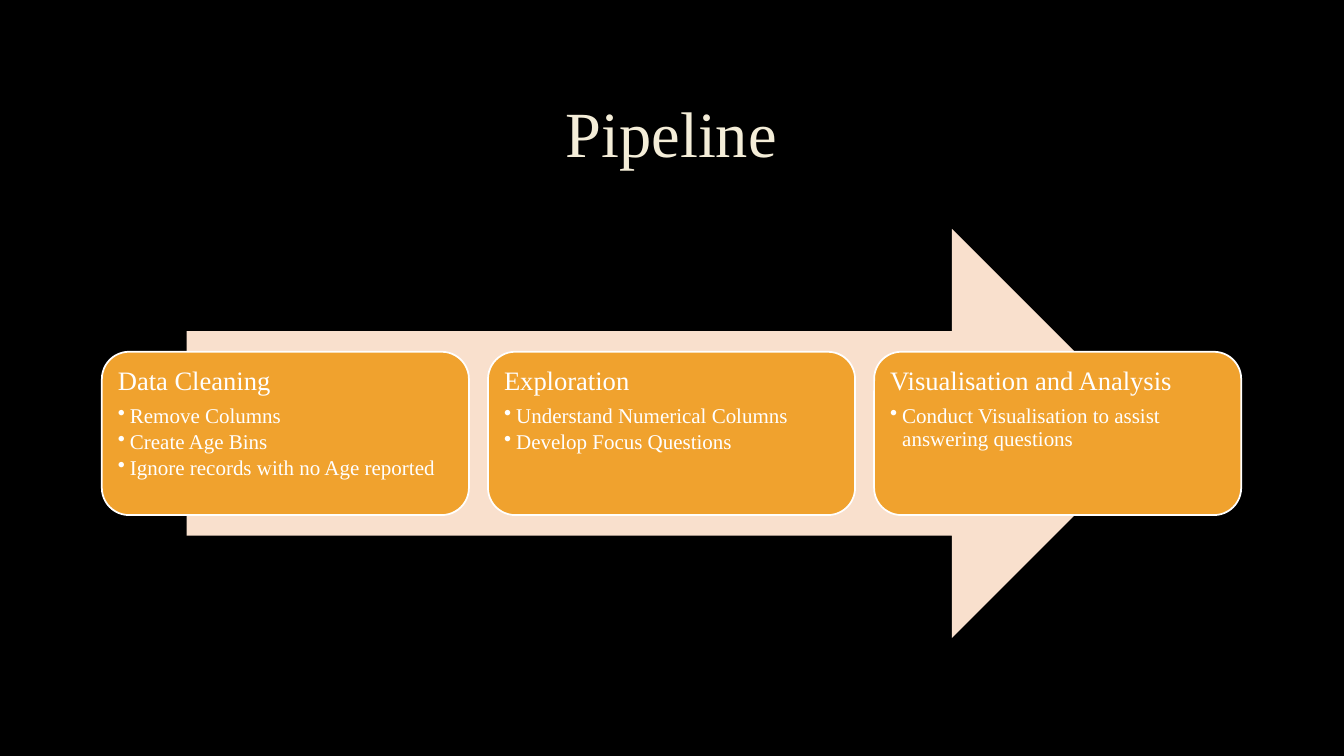
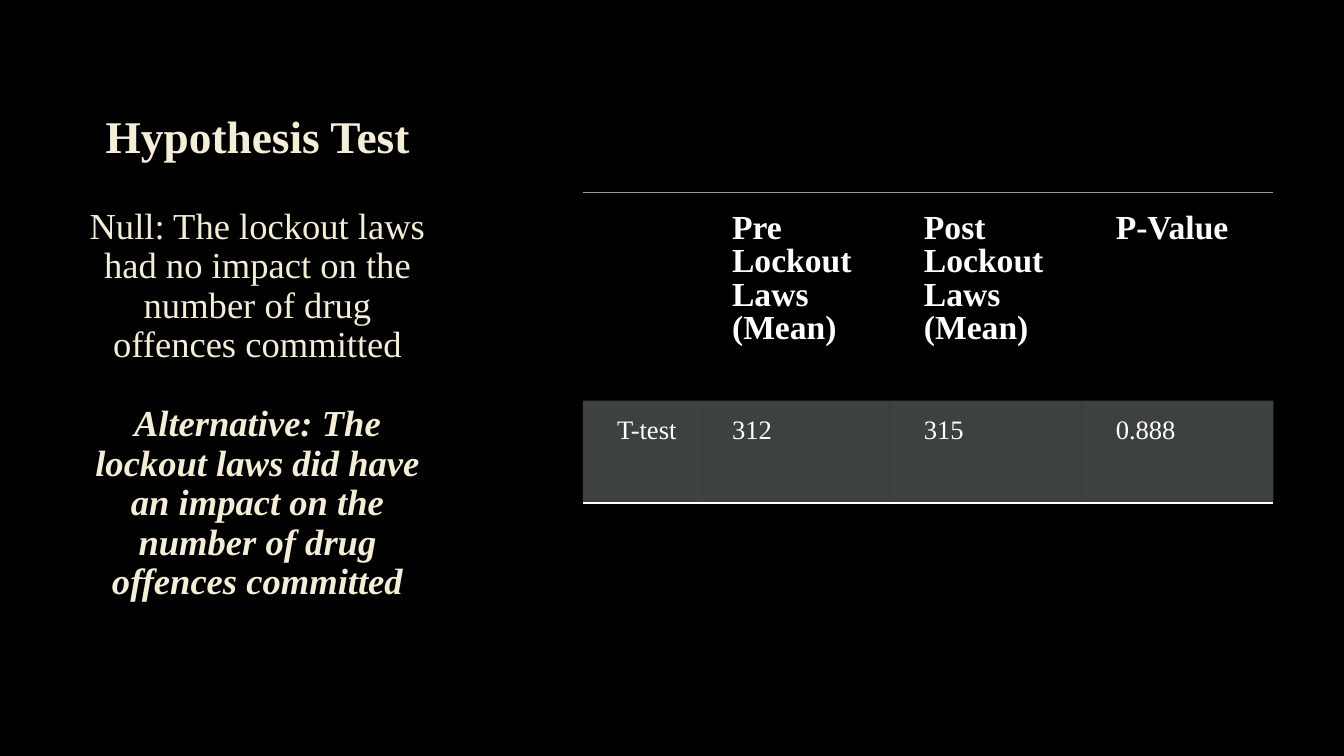
import dataclasses

import lxml.etree
import pptx
import pptx.dml.color
import pptx.enum.shapes
import pptx.enum.text
import pptx.oxml
import pptx.oxml.ns
import pptx.util


@dataclasses.dataclass(frozen=True)
class Theme:
    font: str = "Times New Roman"
    background: str = "000000"
    title: str = "F4EDD8"
    body: str = "FFFFFF"
    arrow: str = "F9E0CD"
    card: str = "F0A22E"
    rule: str = "8F9A9D"
    band: str = "B4BCBE"
    title_size: float = 46
    hypothesis_size: float = 32.4
    statement_size: float = 26.1
    header_size: float = 24
    heading_size: float = 19
    bullet_size: float = 15
    line_spacing: float = 0.9


theme = Theme()
rgb = pptx.dml.color.RGBColor.from_string
Pt, Inches = pptx.util.Pt, pptx.util.Inches
qn = pptx.oxml.ns.qn
shapes = pptx.enum.shapes.MSO_SHAPE
centre = pptx.enum.text.PP_ALIGN.CENTER
left_aligned = pptx.enum.text.PP_ALIGN.LEFT

deck = pptx.Presentation()
deck.slide_width, deck.slide_height = Inches(13.33), Inches(7.5)


def area(left, top, width, height):
    across, down = deck.slide_width / 100, deck.slide_height / 100
    return [round(v) for v in (left * across, top * down, width * across, height * down)]


def write(frame, index, text, size, color, align=left_aligned, bold=False, italic=False, before=0, after=0):
    paragraph = frame.paragraphs[0] if index == 0 else frame.add_paragraph()
    paragraph.alignment = align
    paragraph.line_spacing = theme.line_spacing
    paragraph.space_before, paragraph.space_after = Pt(before), Pt(after)
    run = paragraph.add_run()
    run.text = text
    run.font.name, run.font.size = theme.font, Pt(size)
    run.font.bold, run.font.italic = bold, italic
    run.font.color.rgb = rgb(color)
    return paragraph


pipeline, hypothesis = [deck.slides.add_slide(deck.slide_layouts[6]) for _ in range(2)]
titles = [
    (pipeline, (7.5, 8.93, 84.92, 18.4), [("Pipeline", theme.title_size, False, False, 0)]),
    (hypothesis, (5.18, 8.93, 27.98, 76.93), [
        ("Hypothesis Test", theme.hypothesis_size, True, False, 0),
        ("Null: The lockout laws had no impact on the number of drug offences committed",
         theme.statement_size, False, False, 32),
        ("Alternative: The lockout laws did have an impact on the number of drug offences committed",
         theme.statement_size, True, True, 28),
    ]),
]
for slide, place, lines in titles:
    slide.background.fill.solid()
    slide.background.fill.fore_color.rgb = rgb(theme.background)
    title = slide.shapes.add_textbox(*area(*place)).text_frame
    title.word_wrap = True
    title.vertical_anchor = pptx.enum.text.MSO_ANCHOR.MIDDLE
    for index, (text, size, bold, italic, before) in enumerate(lines):
        write(title, index, text, size, theme.title, centre, bold, italic, before)

arrow = pipeline.shapes.add_shape(shapes.RIGHT_ARROW, *area(13.88, 30.27, 72.17, 54.13))
arrow.shadow.inherit = False
arrow.fill.solid()
arrow.fill.fore_color.rgb = rgb(theme.arrow)
arrow.line.fill.background()

stages = [
    ("Data Cleaning", ["Remove Columns", "Create Age Bins", "Ignore records with no Age reported"]),
    ("Exploration", ["Understand Numerical Columns", "Develop Focus Questions"]),
    ("Visualisation and Analysis", ["Conduct Visualisation to assist answering questions"]),
]
stage_width, stage_gap = 27.31, 1.42
for column, (heading, tasks) in enumerate(stages):
    stage_left = 7.58 + column * (stage_width + stage_gap)
    stage = pipeline.shapes.add_shape(shapes.ROUNDED_RECTANGLE, *area(stage_left, 46.53, stage_width, 21.6))
    stage.shadow.inherit = False
    stage.fill.solid()
    stage.fill.fore_color.rgb = rgb(theme.card)
    stage.line.color.rgb = rgb(theme.body)
    stage.line.width = Pt(1.25)
    frame = stage.text_frame
    frame.word_wrap = True
    frame.vertical_anchor = pptx.enum.text.MSO_ANCHOR.TOP
    frame.margin_left = frame.margin_right = frame.margin_top = frame.margin_bottom = Inches(0.08)
    write(frame, 0, heading, theme.heading_size, theme.body, after=0.35 * theme.heading_size)
    for index, task in enumerate(tasks, 1):
        item = write(frame, index, task, theme.bullet_size, theme.body, after=0.15 * theme.bullet_size)
        properties = item._p.get_or_add_pPr()
        properties.set("marL", str(Inches(0.12)))
        properties.set("indent", str(-Inches(0.12)))
        lxml.etree.SubElement(properties, qn("a:buChar")).set("char", "•")

results = [
    ["", "Pre Lockout Laws (Mean)", "Post Lockout Laws (Mean)", "P-Value"],
    ["T-test", "312", "315", "0.888"],
]
column_shares, row_shares = [3, 5, 5, 5], [67, 33]
row_styles = [
    (theme.header_size, True, 0.2, "a:lnT", theme.rule, 60),
    (theme.heading_size, False, 0.18, "a:lnB", theme.body, 100),
]
table_area = area(43.36, 25.47, 51.39, 41.07)
table = hypothesis.shapes.add_table(len(results), len(column_shares), *table_area).table
table.first_row = table.horz_banding = False
table._tbl.tblPr.find(qn("a:tableStyleId")).text = "{2D5ABB26-0587-4C30-8999-92F81FD0307C}"
for column, share in zip(table.columns, column_shares):
    column.width = round(table_area[2] * share / sum(column_shares))
for row, share in zip(table.rows, row_shares):
    row.height = round(table_area[3] * share / sum(row_shares))

for row, (values, (size, bold, margin, edge, edge_color, opacity)) in enumerate(zip(results, row_styles)):
    for column, value in enumerate(values):
        cell = table.cell(row, column)
        cell.margin_left = Inches(0.34)
        cell.margin_right = cell.margin_top = cell.margin_bottom = Inches(margin)
        border = lxml.etree.SubElement(cell._tc.get_or_add_tcPr(), qn(edge), w=str(Pt(1.5)))
        ink = lxml.etree.SubElement(lxml.etree.SubElement(border, qn("a:solidFill")), qn("a:srgbClr"), val=edge_color)
        lxml.etree.SubElement(ink, qn("a:alpha"), val=str(opacity * 1000))
        if row == 0:
            cell.fill.background()
        else:
            cell.fill.solid()
            cell.fill.fore_color.rgb = rgb(theme.band)
            band = cell._tc.tcPr.find(qn("a:solidFill")).find(qn("a:srgbClr"))
            lxml.etree.SubElement(band, qn("a:alpha"), val="35000")
        if value:
            write(cell.text_frame, 0, value, size, theme.body, bold=bold)

deck.save("out.pptx")
